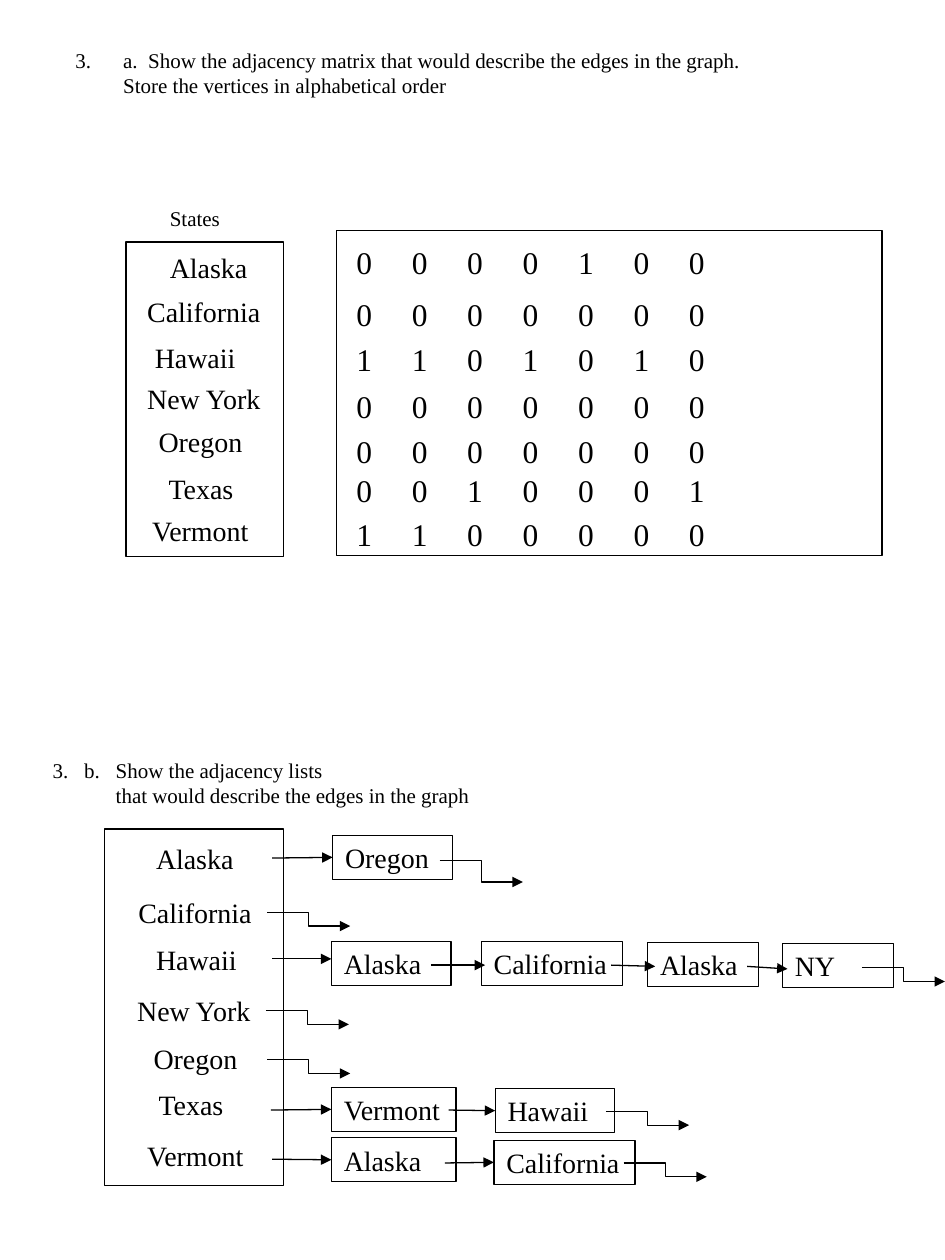
from lxml import etree
from pptx import Presentation
from pptx.dml.color import RGBColor
from pptx.enum.shapes import MSO_CONNECTOR as Link, MSO_SHAPE as Shape
from pptx.enum.text import MSO_ANCHOR as Anchor, MSO_AUTO_SIZE as AutoSize, PP_ALIGN as Align
from pptx.oxml.ns import qn
from pptx.util import Inches, Pt

BLACK = RGBColor(0x00, 0x00, 0x00)
WHITE = RGBColor(0xFF, 0xFF, 0xFF)
COLUMNS, ROWS = 75, 100  # grid over the whole slide


class Page:
    """Style and current slide; lengths are grid columns and rows."""
    font = {"name": "Times New Roman"}
    small, medium, large = Pt(12), Pt(16), Pt(18)
    line_width = Pt(0.75)

    def __init__(self, deck):
        self.slide = deck.slides.add_slide(deck.slide_layouts[6])
        self.slide.background.fill.solid()
        self.slide.background.fill.fore_color.rgb = WHITE
        self.shapes = self.slide.shapes
        self.cell = deck.slide_width / COLUMNS, deck.slide_height / ROWS

    def place(self, *lengths):
        return [round(n * self.cell[i % 2]) for i, n in enumerate(lengths)]

    def fill_frame(self, frame, lines, size, **settings):
        for key, value in {"word_wrap": False, **settings}.items():
            setattr(frame, key, value)
        for i, line in enumerate(lines):
            para = frame.add_paragraph() if i else frame.paragraphs[0]
            para.alignment = Align.LEFT
            run = para.add_run()
            run.text = line
            for key, value in {**self.font, "size": size}.items():
                setattr(run.font, key, value)
            run.font.color.rgb = BLACK
        return frame.paragraphs

    def text(self, at, lines, size, wrap=False):
        frame = self.shapes.add_textbox(*self.place(*at)).text_frame
        return self.fill_frame(frame, lines, size, word_wrap=wrap,
                               auto_size=AutoSize.SHAPE_TO_FIT_TEXT)

    def box(self, at, label=None):
        rect = self.shapes.add_shape(Shape.RECTANGLE, *self.place(*at))
        rect.shadow.inherit = False
        rect.fill.background()
        rect.line.color.rgb = BLACK
        rect.line.width = self.line_width
        if label:
            self.fill_frame(rect.text_frame, [label], self.medium,
                            vertical_anchor=Anchor.MIDDLE)
        return rect

    def arrow(self, start, end, kind=Link.STRAIGHT, target=None):
        link = self.shapes.add_connector(kind, *self.place(*start, *end))
        link.line.color.rgb = BLACK
        link.line.width = self.line_width
        props = link._element.spPr
        etree.SubElement(props.find(qn("a:ln")), qn("a:tailEnd"), type="triangle")
        etree.SubElement(props, qn("a:effectLst"))
        if target is not None:
            link.end_connect(target, 1)

    def tabs(self, para, stops, **indents):
        props = para._p.get_or_add_pPr()
        for key, inches in indents.items():
            props.set(key, str(Inches(inches)))
        tab_list = etree.SubElement(props, qn("a:tabLst"))
        for stop in stops:
            etree.SubElement(tab_list, qn("a:tab"), pos=str(Inches(stop)), algn="l")
        return props


# Matrix: state, label left, top, width, row top, entries
MATRIX = [
    ("Alaska", 12.5, 19.4, 8.3, 18.8, "0000100"),
    ("California", 10.7, 22.9, 11.2, 22.9, "0000000"),
    ("Hawaii", 11.3, 26.5, 8.5, 26.5, "1101010"),
    ("New York", 10.7, 29.8, 11.1, 30.2, "0000000"),
    ("Oregon", 11.6, 33.2, 8.8, 33.8, "0000000"),
    ("Texas", 12.4, 36.9, 7.2, 36.9, "0010001"),
    ("Vermont", 11.1, 40.3, 9.8, 40.4, "1100000"),
]
# Lists: label left, top, nodes (text, left, top, width),
# arrows (start, end) into each node, start of the closing elbow, its drop
LISTS = [
    (11.4, 66.3, [("Oregon", 26.4, 66.3, 9.5)],
     [((21.6, 68.1), (26.4, 68.1))], (34.9, 68.3), 1.7),
    (10, 70.6, [], [], (21.2, 72.4), 1.1),
    (11.4, 74.3, [("Alaska", 26.3, 74.7, 9.5), ("California", 38.2, 74.7, 11.2),
                  ("Alaska", 51.4, 74.8, 8.8), ("NY", 62.1, 74.9, 8.8)],
     [((21.6, 76.1), (26.3, 76.1)), ((34.2, 76.6), (38.5, 76.6)),
      ((48.5, 76.6), (52, 76.7)), ((59.3, 76.7), (62.5, 76.9))], (68.4, 76.8), 1.1),
    (9.9, 78.4, [], [], (21.1, 80.2), 1.1),
    (11.2, 82.2, [], [], (21.2, 84.1), 1.1),
    (11.6, 85.8, [("Vermont", 26.3, 86.3, 9.9), ("Hawaii", 39.3, 86.4, 9.5)],
     [((21.5, 88.1), (26.3, 88.1)), ((35.6, 88.1), (39.3, 88.1))], (48.1, 88.2), 1.1),
    (10.7, 89.9, [("Alaska", 26.3, 90.3, 9.9), ("California", 39.2, 90.5, 11.2)],
     [((21.6, 92), (26.3, 92)), ((35.3, 92.3), (39.2, 92.3))], (49.5, 92.3), 1.1),
]
NODE_HEIGHT, LABEL_HEIGHT, ELBOW_WIDTH, DIGIT_GAP = 3.5, 3.7, 6.6, 0.44


def main():
    deck = Presentation()
    deck.slide_width, deck.slide_height = Inches(7.5), Inches(10)
    page = Page(deck)

    # Question a
    question = page.text((5, 3.3, 58.3, 5), [
        "a.  Show the adjacency matrix that would describe the edges in the graph. "
        "Store the vertices in alphabetical order"], page.small, wrap=True)[0]
    props = page.tabs(question, [0.25], marL=0.38, indent=-0.38)
    props.insert(0, etree.Element(qn("a:buAutoNum"), type="arabicPeriod", startAt="3"))

    # State column and matrix frames
    page.box((10, 19.2, 12.5, 25))
    page.box((26.7, 18.3, 43.3, 25.8))
    page.text((12.5, 15.8, 6, 3), ["States"], page.small)

    # Matrix rows
    for state, left, top, width, row_top, entries in MATRIX:
        page.text((left, top, width, LABEL_HEIGHT), [state], page.medium)
        row = page.text((27.3, row_top, 42.7, 4), ["\t".join(entries)],
                        page.large, wrap=True)[0]
        page.tabs(row, [DIGIT_GAP * n for n in range(1, len(entries))])

    # Question b
    first, second = page.text((3.2, 59.6, 35.2, 5), [
        "3.\tb.\tShow the adjacency lists",
        "that would describe the edges in the graph"], page.small)
    page.tabs(first, [0.25, 0.5])
    page.tabs(second, [], marL=0.5)

    # Adjacency lists
    page.box((8.3, 65.8, 14.2, 28.3))
    for (state, _, _, width, _, _), (left, top, nodes, arrows, tail, drop) in zip(MATRIX, LISTS):
        page.text((left, top, width, LABEL_HEIGHT), [state], page.medium)
        for (name, x, y, node_width), (start, end) in zip(nodes, arrows):
            node = page.box((x, y, node_width, NODE_HEIGHT), name)
            at_middle = end[0] == x and abs(end[1] - y - NODE_HEIGHT / 2) < 0.1
            page.arrow(start, end, target=node if at_middle else None)
        page.arrow(tail, (tail[0] + ELBOW_WIDTH, tail[1] + drop), Link.ELBOW)

    deck.save("out.pptx")


if __name__ == "__main__":
    main()
